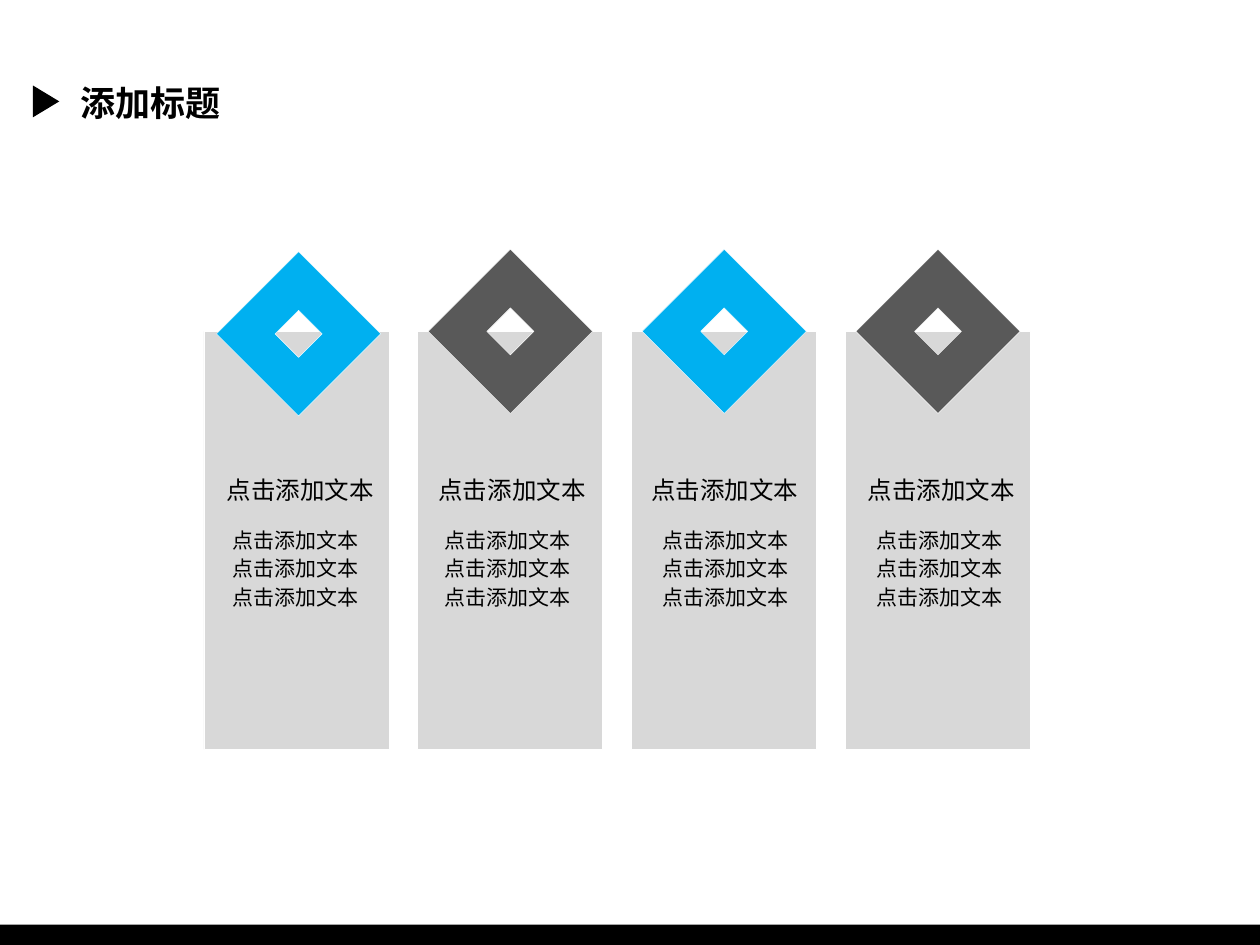
from lxml import etree
from pptx import Presentation
from pptx.dml.color import RGBColor
from pptx.enum.shapes import MSO_SHAPE
from pptx.enum.text import MSO_ANCHOR, PP_ALIGN
from pptx.oxml.ns import qn
from pptx.util import Cm, Pt

RECTANGLE = MSO_SHAPE.RECTANGLE
TRIANGLE = MSO_SHAPE.ISOSCELES_TRIANGLE
MIDDLE = MSO_ANCHOR.MIDDLE
LEFT = PP_ALIGN.LEFT

FONT = "Noto Sans CJK SC"
BLACK, WHITE, CARD_GREY = "000000", "FFFFFF", "A6A6A6"
BLUE, DARK_GREY = "00B0F0", "595959"
PLACEHOLDER_TEXT = "点击添加文本"

CARD_LEFT, CARD_PITCH, CARD_TOP = 4.11, 4.31, 6.68
CARD_WIDTH, CARD_HEIGHT = 3.73, 8.43
DIAMOND_SIDE, HOLE_SIDE = 2.34, 0.67
LINE_TOP, LINE_PITCH, LINE_COUNT = 10.56, 0.57, 3

# Diamond colour and top, then the insets of diamond, heading and lines from the card
CARDS = [
    (BLUE, 5.56, 0.74, 0.21, 0.33),
    (DARK_GREY, 5.51, 0.7, 0.17, 0.3),
    (BLUE, 5.51, 0.7, 0.15, 0.37),
    (DARK_GREY, 5.51, 0.7, 0.2, 0.38),
]


def colour(hex_string):
    return RGBColor.from_string(hex_string)


def style_shape(shape, fill, line=None, opacity=None):
    shape.shadow.inherit = False
    shape.fill.solid()
    shape.fill.fore_color.rgb = colour(fill)
    if opacity is not None:
        fill_colour = shape.fill._xPr.find(f".//{qn('a:srgbClr')}")
        etree.SubElement(fill_colour, qn("a:alpha"), val=str(opacity * 1000))
    if line:
        shape.line.color.rgb = colour(line)
        shape.line.width = Pt(0.25)
    else:
        shape.line.fill.background()


def add_shape(slide, kind, left, top, width, height, **style):
    shape = slide.shapes.add_shape(kind, Cm(left), Cm(top), Cm(width), Cm(height))
    style_shape(shape, **style)
    return shape


def square_corners(start, side):
    end = start + side
    return [(Cm(x), Cm(y)) for x, y in
            ((start, start), (end, start), (end, end), (start, end))]


def add_diamond(slide, left, top, fill):
    """Draw a square with a square hole and stand it on its corner."""
    outer = square_corners(0, DIAMOND_SIDE)
    hole = square_corners((DIAMOND_SIDE - HOLE_SIDE) / 2, HOLE_SIDE)[::-1]
    builder = slide.shapes.build_freeform(*outer[0])
    builder.add_line_segments(outer[1:], close=True)
    builder.move_to(*hole[0])
    builder.add_line_segments(hole[1:], close=True)
    diamond = builder.convert_to_shape(Cm(left), Cm(top))
    diamond.rotation = 315
    style_shape(diamond, fill, line=WHITE)


def write_text(shape, text, size, bold=False):
    frame = shape.text_frame
    frame.word_wrap = True
    frame.vertical_anchor = MIDDLE
    frame.margin_left = frame.margin_right = Cm(0.25)
    frame.margin_top = frame.margin_bottom = 0
    paragraph = frame.paragraphs[0]
    paragraph.alignment = LEFT
    run = paragraph.add_run()
    run.text = text
    run.font.size = Pt(size)
    run.font.bold = bold
    run.font.color.rgb = colour(BLACK)
    run.font.name = FONT
    etree.SubElement(run.font._element, qn("a:ea"), typeface=FONT)


def add_text(slide, text, left, top, width, height, **text_format):
    box = slide.shapes.add_textbox(Cm(left), Cm(top), Cm(width), Cm(height))
    write_text(box, text, **text_format)


def add_title(slide, text):
    title = slide.shapes.title
    title.left, title.top = Cm(1.37), Cm(1.5)
    title.width, title.height = Cm(3.56), Cm(1.12)
    write_text(title, text, size=20, bold=True)
    marker = add_shape(slide, TRIANGLE, 0.61, 1.78, 0.64, 0.53, fill=BLACK)
    marker.rotation = 90


def add_card(slide, left, fill, diamond_top, diamond_inset, heading_inset, line_inset):
    add_shape(slide, RECTANGLE, left, CARD_TOP, CARD_WIDTH, CARD_HEIGHT,
              fill=CARD_GREY, line=WHITE, opacity=43)
    add_diamond(slide, left + diamond_inset, diamond_top, fill)
    add_text(slide, PLACEHOLDER_TEXT, left + heading_inset, 9.45, 3.68, 0.86, size=14)
    for index in range(LINE_COUNT):
        add_text(slide, PLACEHOLDER_TEXT, left + line_inset,
                 LINE_TOP + index * LINE_PITCH, 3.4, 0.66, size=12)


def main():
    presentation = Presentation()
    presentation.slide_width, presentation.slide_height = Cm(25.4), Cm(19.05)
    slide = presentation.slides.add_slide(presentation.slide_layouts[5])
    add_shape(slide, RECTANGLE, 0, 18.64, 25.4, 0.48, fill=BLACK)
    add_title(slide, "添加标题")
    for index, card in enumerate(CARDS):
        add_card(slide, CARD_LEFT + index * CARD_PITCH, *card)
    presentation.save("out.pptx")


if __name__ == "__main__":
    main()
